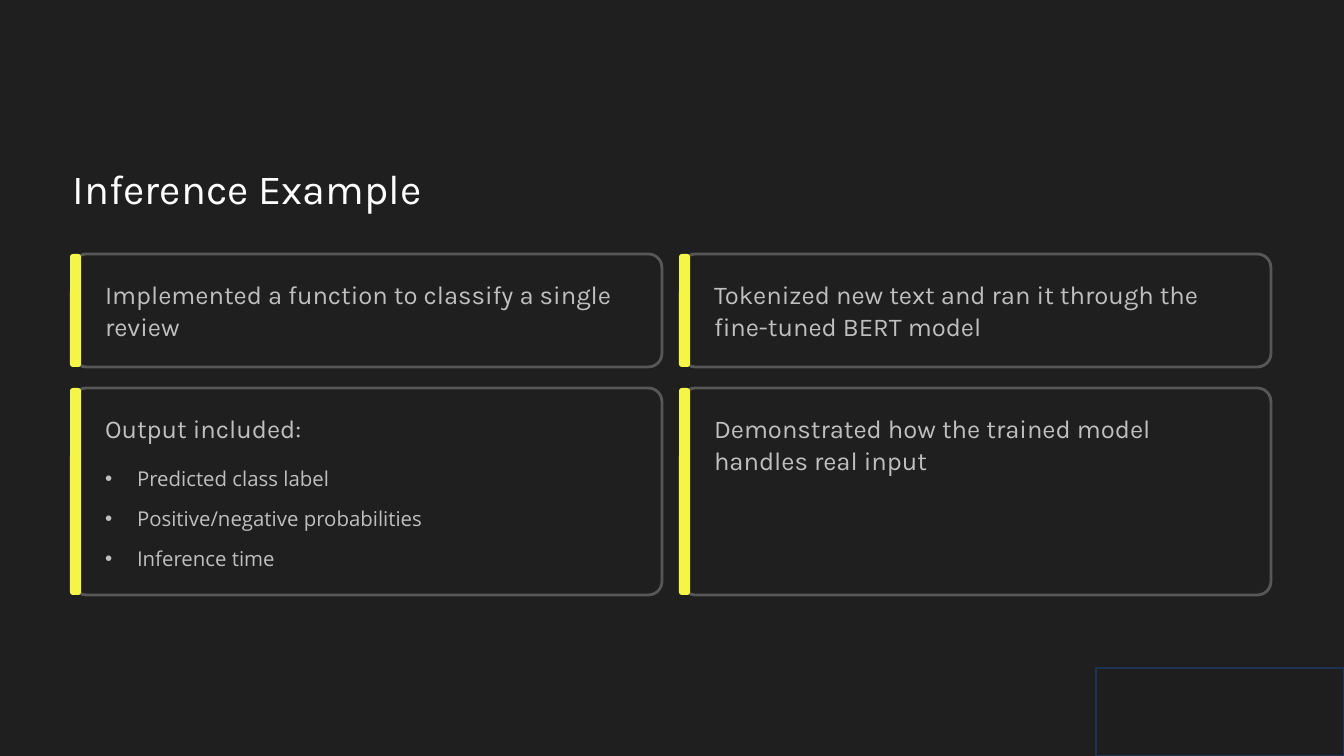
from pptx import Presentation
from pptx.dml.color import RGBColor
from pptx.enum.shapes import MSO_SHAPE as Shape
from pptx.enum.text import MSO_ANCHOR as Anchor, MSO_AUTO_SIZE as Fit, PP_ALIGN as Align
from pptx.oxml.ns import qn
from pptx.util import Pt
from lxml.etree import SubElement

# Content
TITLE = "Inference Example"
CARDS = [
    ["Implemented a function to classify a single review",
     "Tokenized new text and ran it through the fine-tuned BERT model"],
    ["Output included:",
     "Demonstrated how the trained model handles real input"],
]
OUTPUTS = ["Predicted class label", "Positive/negative probabilities", "Inference time"]

# Colours
DARK = RGBColor(0x1F, 0x1F, 0x1F)
WHITE = RGBColor(0xFE, 0xFE, 0xFE)
GREY = RGBColor(0xBF, 0xBF, 0xBF)
EDGE = RGBColor(0x57, 0x57, 0x57)
YELLOW = RGBColor(0xF5, 0xF5, 0x47)
BOX = RGBColor(0x1E, 0x1E, 0x1E)
NAVY = RGBColor(0x1E, 0x32, 0x56)

# Layout in px
LEFT, STEP, WIDE = 73, 609, 589
ROWS = [(254, 113), (388, 207)]
BAR, PAD_X, PAD_Y, TEXT = 11, 32, 24, 533
ROUND, BAR_ROUND = 13.5, 3
INDENT = 32


def px(n):
    return round(n * 914400 / 84)


def place(shape, x, y, w, h):
    shape.left, shape.top, shape.width, shape.height = map(px, (x, y, w, h))


def block(kind, x, y, w, h, fill, line=None, weight=0, radius=0):
    shape = slide.shapes.add_shape(kind, *map(px, (x, y, w, h)))
    shape.shadow.inherit = False
    shape.fill.solid()
    shape.fill.fore_color.rgb = fill
    if line is None:
        shape.line.fill.background()
    else:
        shape.line.color.rgb = line
        shape.line.width = Pt(weight)
    if radius:
        shape.adjustments[0] = radius / min(w, h)


def write(shape, lines, font, size, color, pitch, gap=0, bullet=False):
    frame = shape.text_frame
    frame.margin_left = frame.margin_right = frame.margin_top = frame.margin_bottom = 0
    frame.word_wrap = True
    frame.auto_size = Fit.NONE
    frame.vertical_anchor = Anchor.TOP
    frame.text = "\n".join(lines)
    for para in frame.paragraphs:
        if bullet:
            props = para._p.get_or_add_pPr()
            props.set("marL", str(px(INDENT)))
            props.set("indent", str(-px(INDENT)))
            SubElement(props, qn("a:buChar")).set("char", "•")
        para.alignment = Align.LEFT
        para.line_spacing = Pt(pitch)
        para.space_before = Pt(0)
        para.space_after = Pt(gap)
        para.font.name = font
        para.font.size = Pt(size)
        para.font.color.rgb = color


deck = Presentation()
deck.slide_width, deck.slide_height = px(1344), px(756)
slide = deck.slides.add_slide(deck.slide_layouts[1])
slide.background.fill.solid()
slide.background.fill.fore_color.rgb = DARK

# Title
title = slide.shapes.title
place(title, LEFT, 161, 417, 52)
write(title, [TITLE], "Karla", 35.5, WHITE, 44.5)

# Cards
for (y, h), row in zip(ROWS, CARDS):
    for col, words in enumerate(row):
        x = LEFT + col * STEP
        block(Shape.ROUNDED_RECTANGLE, x, y, WIDE, h, DARK, EDGE, 2.4, ROUND)
        block(Shape.ROUNDED_RECTANGLE, x - 3, y, BAR, h, YELLOW, radius=BAR_ROUND)
        label = slide.shapes.add_textbox(*map(px, (x + PAD_X, y + PAD_Y, TEXT, 66)))
        write(label, [words], "Karla", 22, GREY, 27.5)

# Output list, raised above its card
body = slide.placeholders[1]
place(body, LEFT + PAD_X, 457, TEXT, 115)
write(body, OUTPUTS, "Open Sans", 17.5, GREY, 28.5, gap=6, bullet=True)
slide.shapes._spTree.append(body._element)

# Corner box
block(Shape.RECTANGLE, 1096, 668, 248, 88, BOX, NAVY, 1)

deck.save("out.pptx")
